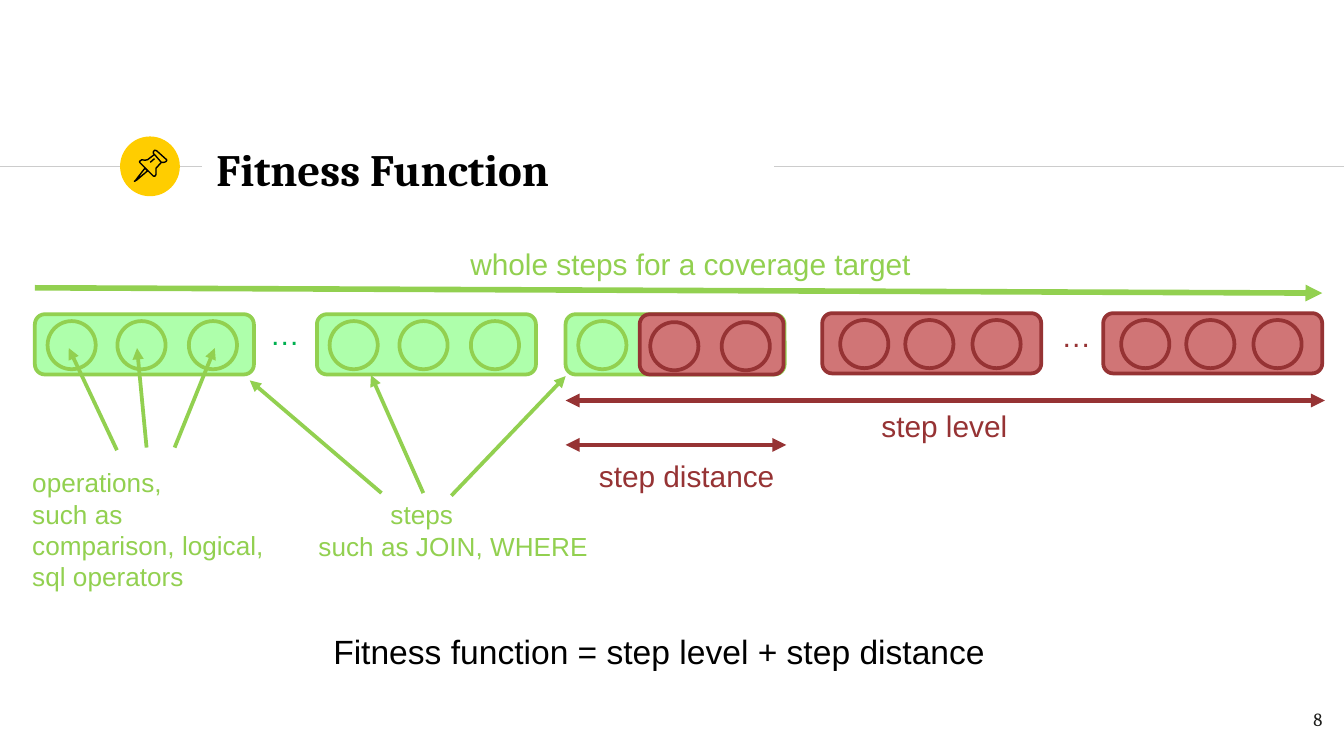
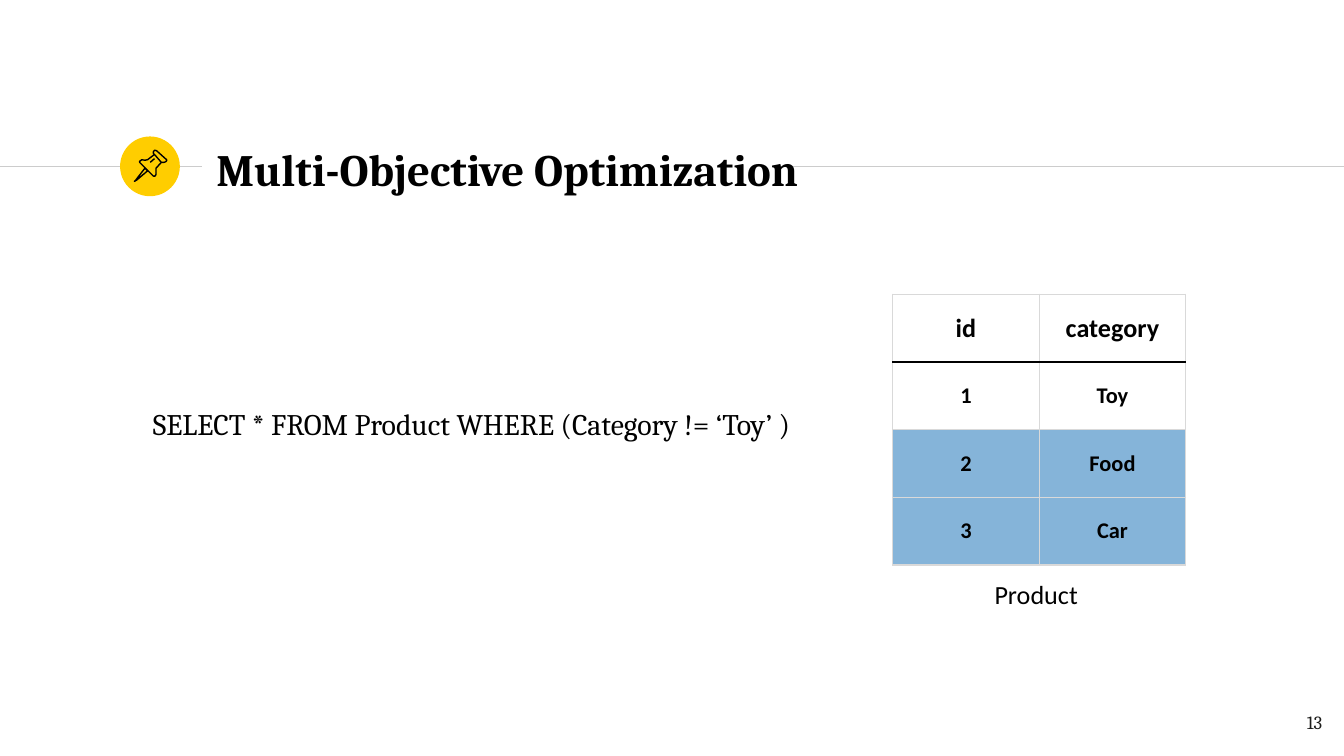
from dataclasses import dataclass

from lxml import etree
from pptx import Presentation
from pptx import util as u
from pptx.dml.color import RGBColor
from pptx.enum import shapes, text
from pptx.oxml import ns

GREEN, RED, BLACK, GREY = "92D050", "963334", "000000", "D9D9D9"
STEP_W, STEP_H, CIRCLE = 4.14, 1.14, 0.91
PIN = [
    ([(274, 318), (257, 340), (254, 343), (259, 340), (279, 323)], True),
    ([(292, 292), (305, 307), (310, 307), (313, 306), (315, 304), (315, 302),
      (296, 285), (292, 284), (290, 287), (290, 290)], True),
    ([(292, 292), (279, 302), (274, 303), (268, 302), (264, 305), (264, 307),
      (290, 333), (293, 333), (295, 330), (295, 318), (305, 307)], False),
    ([(284, 307), (292, 300)], False),
]


@dataclass
class Label:
    """Text in a box, measured in centimetres."""
    lines: list[str]
    x: float
    y: float
    w: float
    h: float
    color: str = BLACK
    size: float = 16
    font: str = "Arial"
    bold: bool = False
    align: text.PP_ALIGN = text.PP_ALIGN.LEFT
    anchor: text.MSO_ANCHOR = text.MSO_ANCHOR.TOP
    wrap: bool = False
    grow: bool = True
    inset: float = 0.13
    first_indent: float = 0


@dataclass
class Line:
    """Straight line with optional arrowheads."""
    x1: float
    y1: float
    x2: float
    y2: float
    color: str = GREEN
    width: float = 2
    ends: tuple[str, ...] = ("tailEnd",)


@dataclass
class Step:
    """Rounded box holding a row of operation circles."""
    x: float
    y: float
    circles: tuple[float, ...]
    color: str
    fill: str
    alpha: int = 100
    w: float = STEP_W
    drop: float = 0.13


def rgb(value: str) -> RGBColor:
    """Turn a hex string into a colour."""
    return RGBColor.from_string(value)


def apply(obj, values: dict) -> None:
    """Set each attribute named in a dict."""
    for key, value in values.items():
        setattr(obj, key, value)


def sub(parent, tag: str, **attrs: str):
    """Append a DrawingML element."""
    return etree.SubElement(parent, ns.qn(f"a:{tag}"), attrs)


def paint(sp, fill: str = "", line: str = "", width: float = 2, alpha: int = 100) -> None:
    """Set fill and outline, without a shadow."""
    sp.shadow.inherit = False
    if fill:
        sp.fill.solid()
        sp.fill.fore_color.rgb = rgb(fill)
        if alpha < 100:
            clr = sp.element.spPr.find(".//" + ns.qn("a:srgbClr"))
            sub(clr, "alpha", val=str(alpha * 1000))
    else:
        sp.fill.background()
    if line:
        sp.line.color.rgb = rgb(line)
        sp.line.width = u.Pt(width)
    else:
        sp.line.fill.background()


def add_shape(s, kind: shapes.MSO_SHAPE, x: float, y: float, w: float, h: float, **style):
    """Draw a preset shape."""
    sp = s.shapes.add_shape(kind, u.Cm(x), u.Cm(y), u.Cm(w), u.Cm(h))
    paint(sp, **style)


def write(p, value: str, size: float, color: str, font: str, bold: bool,
          align: text.PP_ALIGN) -> None:
    """Write one formatted run into a paragraph."""
    p.alignment = align
    r = p.add_run()
    r.text = value
    apply(r.font, {"size": u.Pt(size), "name": font, "bold": bold})
    r.font.color.rgb = rgb(color)


def add_label(s, d: Label) -> None:
    """Draw a text box."""
    sp = s.shapes.add_textbox(u.Cm(d.x), u.Cm(d.y), u.Cm(d.w), u.Cm(d.h))
    tf = sp.text_frame
    fit = text.MSO_AUTO_SIZE
    apply(tf, {
        "word_wrap": d.wrap,
        "auto_size": fit.SHAPE_TO_FIT_TEXT if d.grow else fit.NONE,
        "vertical_anchor": d.anchor,
        "margin_left": u.Cm(0.25), "margin_right": u.Cm(0.25),
        "margin_top": u.Cm(d.inset), "margin_bottom": u.Cm(d.inset),
    })
    for i, value in enumerate(d.lines):
        p = tf.add_paragraph() if i else tf.paragraphs[0]
        write(p, value, d.size, d.color, d.font, d.bold, d.align)
        if d.first_indent and not i:
            p._p.get_or_add_pPr().set("marL", str(u.Cm(d.first_indent)))


def add_line(s, d: Line) -> None:
    """Draw a connector."""
    sp = s.shapes.add_connector(shapes.MSO_CONNECTOR.STRAIGHT,
                                u.Cm(d.x1), u.Cm(d.y1), u.Cm(d.x2), u.Cm(d.y2))
    sp.line.color.rgb = rgb(d.color)
    sp.line.width = u.Pt(d.width)
    for end in d.ends:
        sub(sp.line._get_or_add_ln(), end, type="triangle")
    sub(sp.element.spPr, "effectLst")


def add_step(s, d: Step) -> None:
    """Draw a step and its operations."""
    add_shape(s, shapes.MSO_SHAPE.ROUNDED_RECTANGLE, d.x, d.y, d.w, STEP_H,
              fill=d.fill, line=d.color, alpha=d.alpha)
    for dx in d.circles:
        add_shape(s, shapes.MSO_SHAPE.OVAL, d.x + dx, d.y + d.drop, CIRCLE, CIRCLE,
                  line=d.color)


def add_base(prs, title: str, title_w: float, number: str, number_y: float):
    """Add a slide with rule, pin, title and page number."""
    s = prs.slides.add_slide(prs.slide_layouts[6])
    for x1, x2 in ((0, 3.81), (14.63, 25.4)):
        add_line(s, Line(x1, 3.15, x2, 3.15, "CCCCCC", 0.75, ()))
    add_shape(s, shapes.MSO_SHAPE.OVAL, 2.27, 2.58, 1.13, 1.13, fill="FFCD00")
    add_label(s, Label([title], 3.84, 2.57, title_w, 1.22, size=24, font="Cambria",
                       bold=True, anchor=text.MSO_ANCHOR.MIDDLE, wrap=True,
                       grow=False, inset=0.25))
    for points, closed in PIN:
        fb = s.shapes.build_freeform(*points[0], scale=u.Cm(0.01))
        fb.add_line_segments(points[1:], close=closed)
        paint(fb.convert_to_shape(), line=BLACK, width=0.75)
    add_label(s, Label([number], 23.72, number_y, 1.52, 1.09, "1D1D1B", 10, "Cambria",
                       align=text.PP_ALIGN.RIGHT, wrap=True, grow=False, inset=0.25))
    return s


def border(cell, black_side: str) -> None:
    """Outline a cell, with one side in black if named."""
    tc_pr = cell._tc.get_or_add_tcPr()
    for i, side in enumerate(("lnL", "lnR", "lnT", "lnB")):
        dark = side == black_side
        ln = sub(tc_pr, side, w=str(u.Pt(1 if dark else 0.75)))
        sub(sub(ln, "solidFill"), "srgbClr", val=BLACK if dark else GREY)
        tc_pr.insert(i, ln)


def add_product_table(s) -> None:
    """Draw the product table with its selected rows."""
    rows = [("id", "category"), ("1", "Toy"), ("2", "Food"), ("3", "Car")]
    col_w, row_h = 2.77, 1.28
    table = s.shapes.add_table(len(rows), 2, u.Cm(16.87), u.Cm(5.56),
                               u.Cm(2 * col_w), u.Cm(len(rows) * row_h)).table
    apply(table, {"first_row": False, "horz_banding": False})
    for col in table.columns:
        col.width = u.Cm(col_w)
    for i, values in enumerate(rows):
        table.rows[i].height = u.Cm(row_h)
        for j, value in enumerate(values):
            cell = table.cell(i, j)
            cell.vertical_anchor = text.MSO_ANCHOR.MIDDLE
            write(cell.text_frame.paragraphs[0], value, 12 if i else 14, BLACK,
                  "Calibri", True, text.PP_ALIGN.CENTER)
            if i >= 2:
                cell.fill.solid()
                cell.fill.fore_color.rgb = rgb("85B4D9")
            else:
                cell.fill.background()
            border(cell, {0: "lnB", 1: "lnT"}.get(i, ""))


def fitness_slide(prs) -> None:
    """Build the fitness function slide."""
    s = add_base(prs, "Fitness Function", 10.77, "8", 13.13)
    green = {"color": GREEN, "fill": "0BFF00", "alpha": 33}
    red = {"color": RED, "fill": "D07576"}
    trio, red_trio = (0.24, 1.56, 2.91), (0.34, 1.57, 2.84)
    for step in (
        Step(0.66, 5.94, trio, **green),
        Step(5.99, 5.94, trio, **green),
        Step(10.69, 5.94, trio[:1], **green),
        Step(12.09, 5.94, (0.2, 1.55), **red, w=2.72, drop=0.15),
        Step(15.54, 5.92, red_trio, **red),
        Step(20.85, 5.92, red_trio, **red),
    ):
        add_step(s, step)
    both = ("headEnd", "tailEnd")
    for line in (
        Line(0.66, 5.44, 24.99, 5.54, width=3),
        Line(10.69, 7.57, 25.04, 7.57, RED, 2.5, both),
        Line(10.69, 8.41, 14.86, 8.41, RED, 2.5, both),
        Line(2.21, 8.51, 1.3, 6.58),
        Line(2.77, 8.46, 2.59, 6.58),
        Line(3.3, 8.46, 4.06, 6.58),
        Line(7.21, 9.32, 4.72, 7.19),
        Line(8, 9.32, 7.01, 7.09),
        Line(8.53, 9.37, 10.69, 7.11),
    ):
        add_line(s, line)
    for label in (
        Label(["whole steps for a coverage target"], 8.64, 4.52, 8.94, 0.94, GREEN),
        Label(["…"], 4.85, 5.84, 1.09, 0.94, "00B050"),
        Label(["…"], 19.81, 5.87, 1.09, 0.94, RED),
        Label(["step level"], 16.41, 7.57, 2.92, 0.94, RED),
        Label(["step distance"], 11.07, 8.53, 3.86, 0.94, RED),
        Label(["operations,", "such as", "comparison, logical,", "sql operators"],
              0.36, 8.69, 4.9, 2.64, GREEN, 14),
        Label(["steps", "such as JOIN, WHERE"], 5.77, 9.3, 5.64, 1.45, GREEN, 14,
              first_indent=1.36),
        Label(["Fitness function = step level + step distance"],
              6.05, 11.79, 12.95, 1.02, size=18),
    ):
        add_label(s, label)


def optimization_slide(prs) -> None:
    """Build the multi-objective optimization slide."""
    s = add_base(prs, "Multi-Objective Optimization", 17.68, "13", 13.18)
    add_product_table(s)
    centred = {"align": text.PP_ALIGN.CENTER, "wrap": True}
    add_label(s, Label(["Product"], 18.19, 10.8, 2.79, 0.86, size=14, font="Calibri",
                       **centred))
    add_label(s, Label(["SELECT * FROM Product WHERE (Category != ‘Toy’ )"],
                       1.7, 7.54, 14.43, 0.94, font="Cambria", **centred))


def main() -> None:
    """Build and save the deck."""
    prs = Presentation()
    apply(prs, {"slide_width": u.Cm(25.4), "slide_height": u.Cm(14.29)})
    fitness_slide(prs)
    optimization_slide(prs)
    prs.save("out.pptx")


if __name__ == "__main__":
    main()
